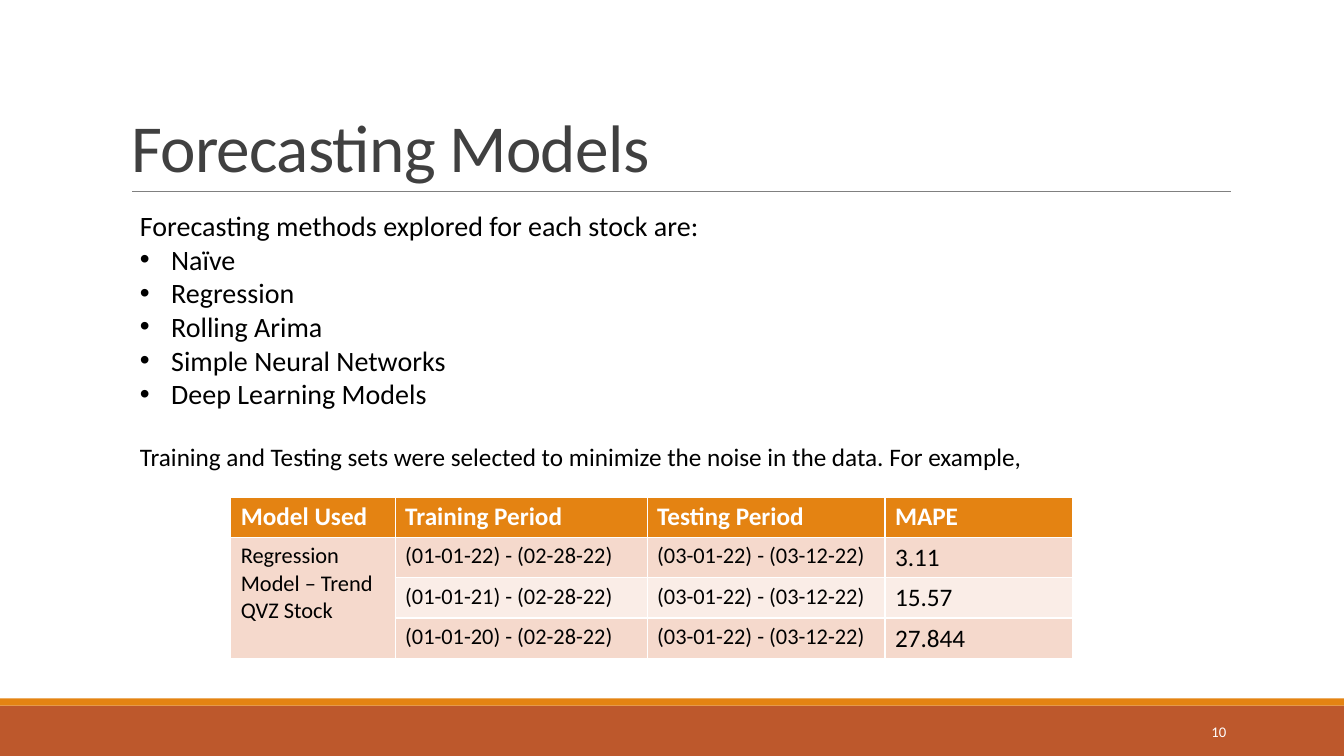
import pptx
import pptx.dml.color
import pptx.enum.shapes
import pptx.enum.text
import pptx.oxml
import pptx.oxml.ns
import pptx.util
import lxml.etree

RGBColor = pptx.dml.color.RGBColor
WHITE = RGBColor(0xFF, 0xFF, 0xFF)
BLACK = RGBColor(0, 0, 0)
CHARCOAL = RGBColor(0x40, 0x40, 0x40)
GRAY = RGBColor(0x80, 0x80, 0x80)
RUST = RGBColor(0xBD, 0x58, 0x2C)
ORANGE = RGBColor(0xE4, 0x83, 0x12)
PEACH = RGBColor(0xF5, 0xD9, 0xCC)
PALE_PEACH = RGBColor(0xFA, 0xED, 0xE7)

COLUMNS, ROWS = 40, 30
presentation = pptx.Presentation()
presentation.slide_width = pptx.util.Inches(13.33)
presentation.slide_height = pptx.util.Inches(7.5)
column = presentation.slide_width / COLUMNS
row = presentation.slide_height / ROWS


def place(left, top, width, height):
    return int(left * column), int(top * row), int(width * column), int(height * row)


def write(frame, text, size=18, color=BLACK, bold=False, bullet=False, align=None, before=0):
    paragraph = frame.add_paragraph() if frame.text else frame.paragraphs[0]
    if bullet:
        properties = paragraph._p.get_or_add_pPr()
        properties.set("marL", str(pptx.util.Inches(0.31)))
        properties.set("indent", str(-pptx.util.Inches(0.31)))
        font = lxml.etree.SubElement(properties, pptx.oxml.ns.qn("a:buFont"))
        font.set("typeface", "Arial")
        character = lxml.etree.SubElement(properties, pptx.oxml.ns.qn("a:buChar"))
        character.set("char", "•")
    if align is not None:
        paragraph.alignment = align
    if before:
        paragraph.space_before = pptx.util.Pt(before)
    run = paragraph.add_run()
    run.text = text
    run.font.name = "Calibri"
    run.font.size = pptx.util.Pt(size)
    run.font.color.rgb = color
    run.font.bold = bold
    return paragraph


slide = presentation.slides.add_slide(presentation.slide_layouts[5])

for top, height, color in [(28, 2, RUST), (27.72, 0.28, ORANGE)]:
    band = slide.shapes.add_shape(
        pptx.enum.shapes.MSO_SHAPE.RECTANGLE, *place(0, top, COLUMNS, height))
    band.shadow.inherit = False
    band.fill.solid()
    band.fill.fore_color.rgb = color
    band.line.fill.background()

left, top, right, bottom = place(3.93, 7.6, 36.63, 7.6)
divider = slide.shapes.add_connector(
    pptx.enum.shapes.MSO_CONNECTOR.STRAIGHT, left, top, right, bottom)
divider.line.color.rgb = GRAY
divider.line.width = pptx.util.Pt(0.5)
lxml.etree.SubElement(divider._element.spPr, pptx.oxml.ns.qn("a:effectLst"))

title = slide.shapes.title
title.left, title.top, title.width, title.height = place(3.6, 1.24, 33, 6.36)
title.text_frame.vertical_anchor = pptx.enum.text.MSO_ANCHOR.BOTTOM
title.text_frame.auto_size = pptx.enum.text.MSO_AUTO_SIZE.NONE
heading = write(title.text_frame, "Forecasting Models", size=48, color=CHARCOAL,
                align=pptx.enum.text.PP_ALIGN.LEFT)
heading.line_spacing = 0.85
heading.runs[0].font._element.set("spc", "-50")

page_number = slide.shapes.add_textbox(*place(32.5, 28.24, 4.29, 1.6)).text_frame
page_number.word_wrap = True
page_number.vertical_anchor = pptx.enum.text.MSO_ANCHOR.MIDDLE
write(page_number, "10", size=10.5, color=WHITE, align=pptx.enum.text.PP_ALIGN.RIGHT)

body = slide.shapes.add_textbox(*place(3.87, 8.08, 32.73, 10.92)).text_frame
body.word_wrap = True
write(body, "Forecasting methods explored for each stock are:", size=20)
for method in ["Naïve", "Regression", "Rolling Arima", "Simple Neural Networks",
               "Deep Learning Models"]:
    write(body, method, size=20, bullet=True)
write(body, "Training and Testing sets were selected to minimize the noise in the data. "
            "For example,", before=22)

results = [
    ["Model Used", "Training Period", "Testing Period", "MAPE"],
    ["Regression Model – Trend\nQVZ Stock", "(01-01-22) - (02-28-22)",
     "(03-01-22) - (03-12-22)", "3.11"],
    ["", "(01-01-21) - (02-28-22)", "(03-01-22) - (03-12-22)", "15.57"],
    ["", "(01-01-20) - (02-28-22)", "(03-01-22) - (03-12-22)", "27.844"],
]
column_widths = [4.89, 7.5, 7.08, 5.58]
row_fills = [ORANGE, PEACH, PALE_PEACH, PEACH]
row_height = 1.6
table = slide.shapes.add_table(
    len(results), len(column_widths),
    *place(6.87, 19.72, sum(column_widths), row_height * len(results))).table
for table_column, width in zip(table.columns, column_widths):
    table_column.width = int(width * column)
table.cell(1, 0).merge(table.cell(3, 0))

for row_index, (values, fill) in enumerate(zip(results, row_fills)):
    header = row_index == 0
    for column_index, value in enumerate(values):
        cell = table.cell(row_index, column_index)
        cell.fill.solid()
        cell.fill.fore_color.rgb = fill
        if cell.is_spanned:
            continue
        for line in value.split("\n"):
            write(cell.text_frame, line, bold=header, color=WHITE if header else BLACK,
                  size=18 if header or column_index == 3 else 16)

presentation.save("out.pptx")
